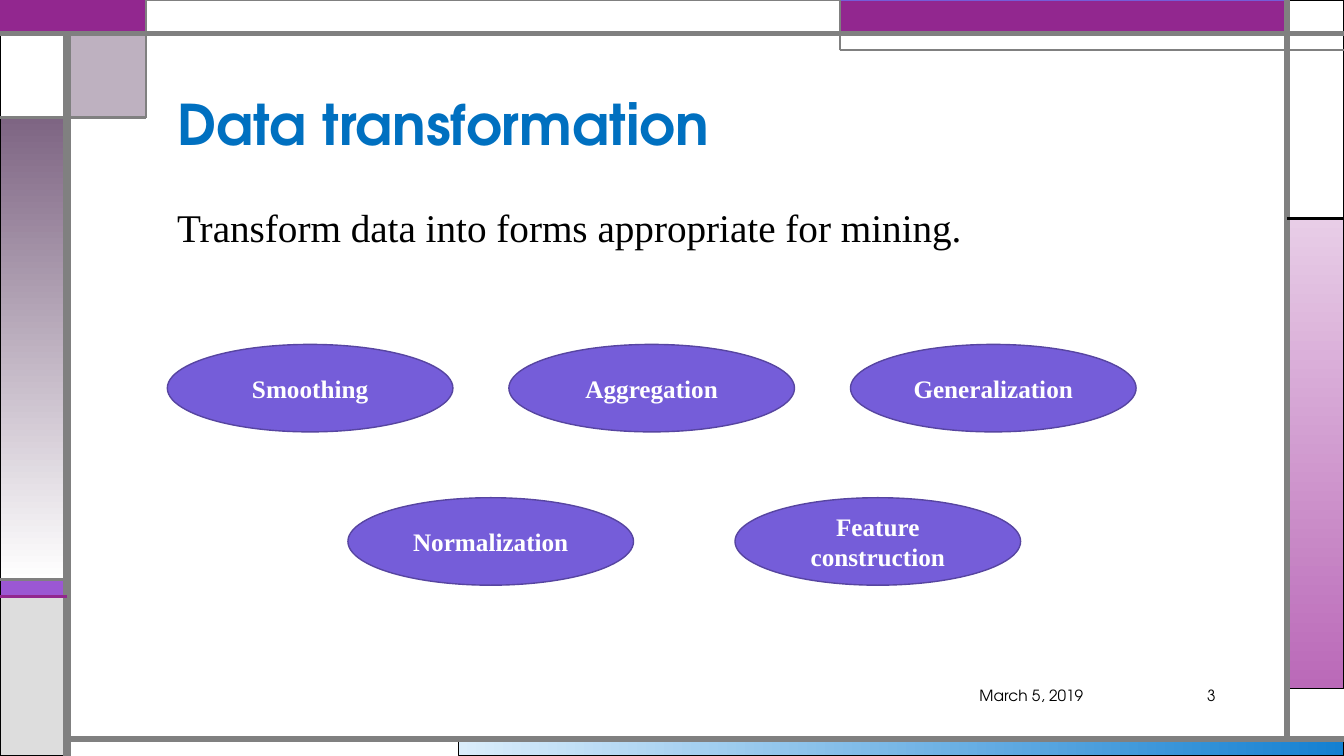
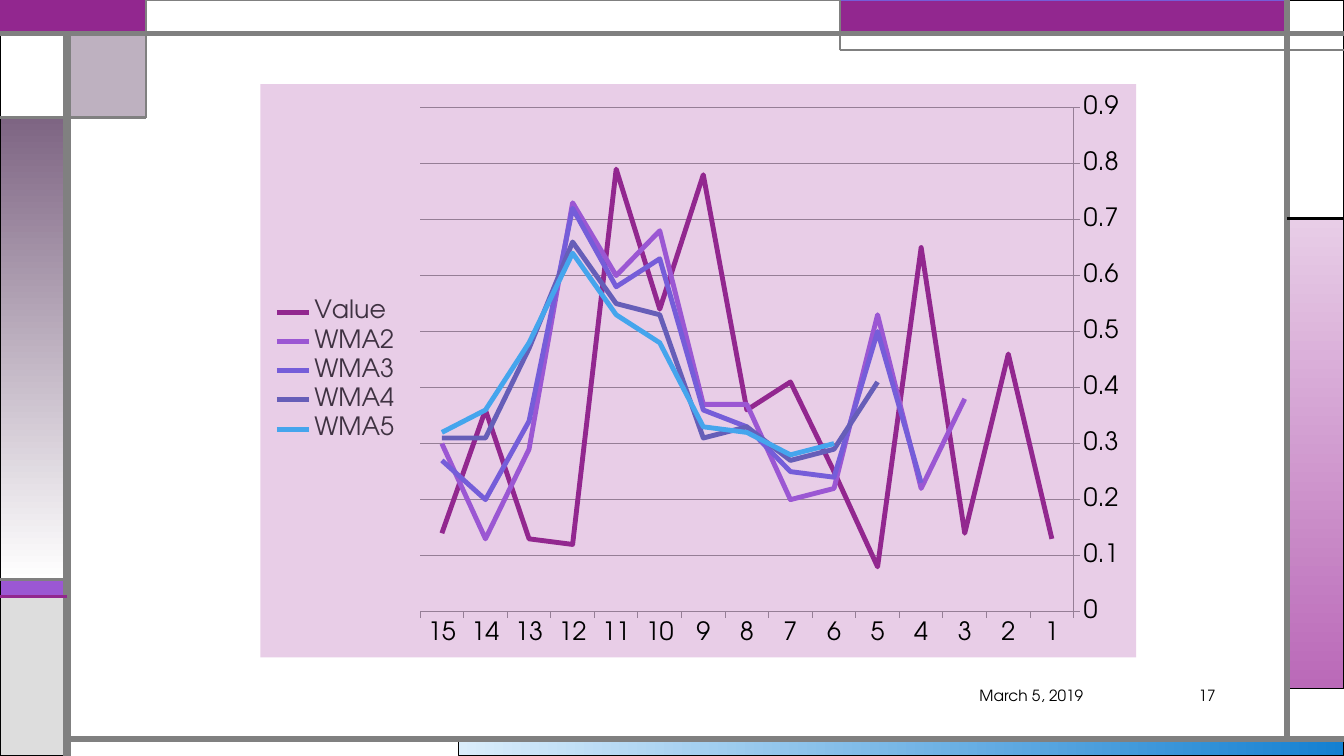
from typing import NamedTuple

from lxml import etree
from pptx import Presentation
from pptx.chart.data import CategoryChartData
from pptx.dml.color import RGBColor
from pptx.enum.chart import XL_CHART_TYPE, XL_LEGEND_POSITION, XL_TICK_MARK
from pptx.enum.shapes import MSO_CONNECTOR, MSO_SHAPE
from pptx.enum.text import MSO_ANCHOR, MSO_AUTO_SIZE, PP_ALIGN
from pptx.oxml import parse_xml
from pptx.oxml.ns import nsdecls, qn
from pptx.util import Pt

RECTANGLE, ELLIPSE = MSO_SHAPE.RECTANGLE, MSO_SHAPE.OVAL
STRAIGHT = MSO_CONNECTOR.STRAIGHT
LEFT, CENTER, RIGHT = PP_ALIGN.LEFT, PP_ALIGN.CENTER, PP_ALIGN.RIGHT
TOP, MIDDLE, BOTTOM = MSO_ANCHOR.TOP, MSO_ANCHOR.MIDDLE, MSO_ANCHOR.BOTTOM
LINE_CHART = XL_CHART_TYPE.LINE
LEGEND_LEFT = XL_LEGEND_POSITION.LEFT
TICK_OUTSIDE = XL_TICK_MARK.OUTSIDE
NO_FIT = MSO_AUTO_SIZE.NONE
TITLE_ONLY, BLANK = 5, 6

SANS, SERIF = "TeX Gyre Adventor", "Times New Roman"
COLORS = {
    "black": "000000", "white": "FFFFFF", "gray": "808080", "silver": "DDDDDD",
    "title": "0070C0", "magenta": "92278F", "violet": "9B57D3",
    "indigo": "755DD9", "indigo_edge": "5745A1", "slate": "665EB8",
    "sky": "45A5ED", "mauve": "7E6583", "pale_blue": "DAEDFB",
    "blue": "1480D1", "pink": "E8CDE7", "orchid": "BA69B8",
    "plum": "3F3242", "grid": "957E96",
}


class Box(NamedTuple):
    left: float
    top: float
    width: float
    height: float

    def points(self):
        return [Pt(length) for length in self]


PAGE = Box(0, 0, 960, 540)
TITLE_BOX = Box(119.5, 26, 756, 90)
BODY_BOX = Box(119.5, 124.6, 792, 60)
METHODS_BOX = Box(119.5, 246, 692, 172)
CHART_BOX = Box(186, 60, 625.5, 409.5)
FOOTER_BOX = Box(677.5, 486, 198, 21.5)

METHOD_ROWS = [
    (0, 244, ["Smoothing", "Aggregation", "Generalization"]),
    (129, 276.5, ["Normalization", "Feature construction"]),
]
FIRST_CATEGORY, LAST_CATEGORY = 1, 15
# Each average starts later than the one before; its values end at the last category.
SERIES = [
    ("Value", "magenta", [0.13, 0.46, 0.14, 0.65, 0.08, 0.25, 0.41, 0.36,
                          0.78, 0.54, 0.79, 0.12, 0.13, 0.36, 0.14]),
    ("WMA2", "violet", [0.38, 0.22, 0.53, 0.22, 0.2, 0.37, 0.37,
                        0.68, 0.6, 0.73, 0.29, 0.13, 0.3]),
    ("WMA3", "indigo", [0.23, 0.5, 0.24, 0.25, 0.33, 0.36,
                        0.63, 0.58, 0.72, 0.34, 0.2, 0.27]),
    ("WMA4", "slate", [0.41, 0.29, 0.27, 0.33, 0.31, 0.53,
                       0.55, 0.66, 0.47, 0.31, 0.31]),
    ("WMA5", "sky", [0.3, 0.28, 0.32, 0.33, 0.48, 0.53, 0.64, 0.48, 0.36, 0.32]),
]


def rgb(name):
    return RGBColor.from_string(COLORS[name])


def style_font(font, size, color, face=SANS, bold=False):
    font.name, font.size, font.bold = face, Pt(size), bold
    font.color.rgb = rgb(color)


def write(frame, text, size, color, face=SANS, bold=False,
          align=LEFT, anchor=TOP, spacing=1.0):
    frame.word_wrap = True
    frame.auto_size = NO_FIT
    frame.vertical_anchor = anchor
    para = frame.paragraphs[0]
    para.alignment, para.line_spacing = align, spacing
    para.space_before = Pt(0)
    span = para.add_run()
    span.text = text
    style_font(span.font, size, color, face, bold)


def add_text(page, box, text, size, color, **style):
    write(page.shapes.add_textbox(*box.points()).text_frame,
          text, size, color, **style)


def add_figure(page, kind, box, fill, edge, edge_width):
    """Add a preset shape; fill is a colour name, or a pair for a gradient."""
    shape = page.shapes.add_shape(kind, *box.points())
    shape.shadow.inherit = False
    if isinstance(fill, tuple):
        shape.fill.gradient()
        for stop, name in zip(shape.fill.gradient_stops, fill):
            stop.color.rgb = rgb(name)
        # The colours run along the longer side.
        shape.fill.gradient_angle = 0 if box.width > box.height else 270
    else:
        shape.fill.solid()
        shape.fill.fore_color.rgb = rgb(fill)
    shape.line.color.rgb = rgb(edge)
    shape.line.width = Pt(edge_width)
    return shape


def add_rule(page, start, end, color, width):
    rule = page.shapes.add_connector(
        STRAIGHT, *[Pt(length) for length in (*start, *end)])
    rule.line.color.rgb = rgb(color)
    rule.line.width = Pt(width)
    etree.SubElement(rule.element.spPr, qn("a:effectLst"))


def add_frame(page, box):
    """Draw the panels and rules around the page edge."""
    left, top = box.left, box.top
    right, bottom = left + box.width, top + box.height
    rail, corner, banner, side = left + 48, left + 104, left + 600, right - 40.5
    band, lip, notch = top + 24, top + 36, top + 84
    shelf, stripe, stripe_end, base = top + 156, top + 414, top + 426, bottom - 12

    panels = [
        (left + 327.5, base, right, bottom, ("pale_blue", "blue"), "black", 0.75),
        (side, shelf, right, top + 492, ("pink", "orchid"), "black", 0.75),
        (left, stripe, rail, stripe_end, "violet", "black", 0.75),
        (left, stripe_end, rail, bottom, "silver", "black", 0.75),
        (side, top, right, shelf, "white", "black", 0.75),
        (banner, top, side, band, "magenta", "indigo", 0.75),
        (left, notch, rail, stripe, ("mauve", "white"), "black", 0.75),
        (left, band, rail, notch, "white", "black", 0.75),
        (left, top, corner, band, "magenta", "magenta", 1.5),
        (corner, top, banner, band, "white", "gray", 0.75),
    ]
    square = add_figure(page, RECTANGLE, Box(rail, band, corner - rail, notch - band),
                        "mauve", "black", 0.75)
    fill_color = square.element.spPr.find(qn("a:solidFill"))[0]
    etree.SubElement(fill_color, qn("a:alpha"), val="50000")
    for x1, y1, x2, y2, fill, edge, width in panels:
        add_figure(page, RECTANGLE, Box(x1, y1, x2 - x1, y2 - y1), fill, edge, width)

    rules = [
        ((rail, bottom), (rail, band), "gray", 6),
        ((rail, base), (right, base), "gray", 4.5),
        ((side, base), (side, top), "gray", 4.5),
        ((left, band), (right, band), "gray", 3),
        ((right, lip), (banner, lip), "gray", 1.5),
        ((banner, lip), (banner, top), "gray", 1.5),
        ((side, shelf), (right, shelf), "black", 2.25),
        ((corner, top), (corner, notch), "gray", 1.5),
        ((corner, notch), (left, notch), "gray", 2.25),
        ((rail, stripe), (left, stripe), "gray", 2.25),
        ((rail, stripe_end), (left, stripe_end), "magenta", 2.25),
    ]
    for rule in rules:
        add_rule(page, *rule)


def add_footer(page, box, number):
    date_width, number_width = 103.5, 78
    date_box = box._replace(width=date_width)
    number_box = box._replace(left=box.left + box.width - number_width,
                              width=number_width)
    for part, text in ((date_box, "March 5, 2019"), (number_box, str(number))):
        add_text(page, part, text, 11, "black", align=RIGHT, anchor=MIDDLE)


def add_page(deck, layout, number):
    page = deck.slides.add_slide(deck.slide_layouts[layout])
    add_frame(page, PAGE)
    add_footer(page, FOOTER_BOX, number)
    return page


def set_title(page, box, text):
    title = page.shapes.title
    title.left, title.top, title.width, title.height = box.points()
    write(title.text_frame, text, 40, "title", bold=True, anchor=BOTTOM, spacing=0.9)


def add_methods(page, box):
    """Set the ellipses in two rows, the first at the top, the last at the bottom."""
    width, height = 204, 62.5
    for row, (indent, pitch, names) in enumerate(METHOD_ROWS):
        top = box.top + row * (box.height - height)
        for column, name in enumerate(names):
            place = Box(box.left + indent + column * pitch, top, width, height)
            ellipse = add_figure(page, ELLIPSE, place, "indigo", "indigo_edge", 1)
            write(ellipse.text_frame, name, 18, "white", face=SERIF, bold=True,
                  align=CENTER, anchor=MIDDLE)


def fill_chart_area(chart, color):
    area = parse_xml(
        f'<c:spPr {nsdecls("c", "a")}><a:solidFill><a:srgbClr val="{COLORS[color]}"/>'
        '</a:solidFill><a:ln><a:noFill/></a:ln></c:spPr>')
    chart.element.find(qn("c:chart")).addnext(area)


def add_average_chart(page, box):
    categories = [str(n) for n in range(FIRST_CATEGORY, LAST_CATEGORY + 1)]
    data = CategoryChartData()
    data.categories = categories
    for name, _, values in SERIES:
        data.add_series(name, [None] * (len(categories) - len(values)) + values)
    chart = page.shapes.add_chart(LINE_CHART, *box.points(), data).chart
    style_font(chart.font, 18, "black")
    fill_chart_area(chart, "pink")
    chart.has_title = False
    chart.has_legend = True
    chart.legend.position = LEGEND_LEFT
    chart.legend.include_in_layout = False
    style_font(chart.legend.font, 18, "plum")

    plot = chart.plots[0]
    plot.vary_by_categories = False
    for series, (_, color, _) in zip(plot.series, SERIES):
        series.smooth = False
        series.format.line.color.rgb = rgb(color)
        series.format.line.width = Pt(3.5)

    values = chart.value_axis
    values.minimum_scale, values.maximum_scale, values.major_unit = 0, 0.9, 0.1
    values.has_major_gridlines = True
    chart.category_axis.reverse_order = True
    for axis in (chart.category_axis, values):
        axis.major_tick_mark = TICK_OUTSIDE
    for part in (chart.category_axis, values, values.major_gridlines):
        part.format.line.color.rgb = rgb("grid")
        part.format.line.width = Pt(0.75)


def build_transformation_page(deck):
    page = add_page(deck, TITLE_ONLY, 3)
    set_title(page, TITLE_BOX, "Data transformation")
    add_text(page, BODY_BOX, "Transform data into forms appropriate for mining.",
             28, "black", face=SERIF, spacing=1.5)
    add_methods(page, METHODS_BOX)


def build_chart_page(deck):
    page = add_page(deck, BLANK, 17)
    add_average_chart(page, CHART_BOX)


def main():
    deck = Presentation()
    deck.slide_width, deck.slide_height = Pt(PAGE.width), Pt(PAGE.height)
    build_transformation_page(deck)
    build_chart_page(deck)
    deck.save("out.pptx")


if __name__ == "__main__":
    main()
